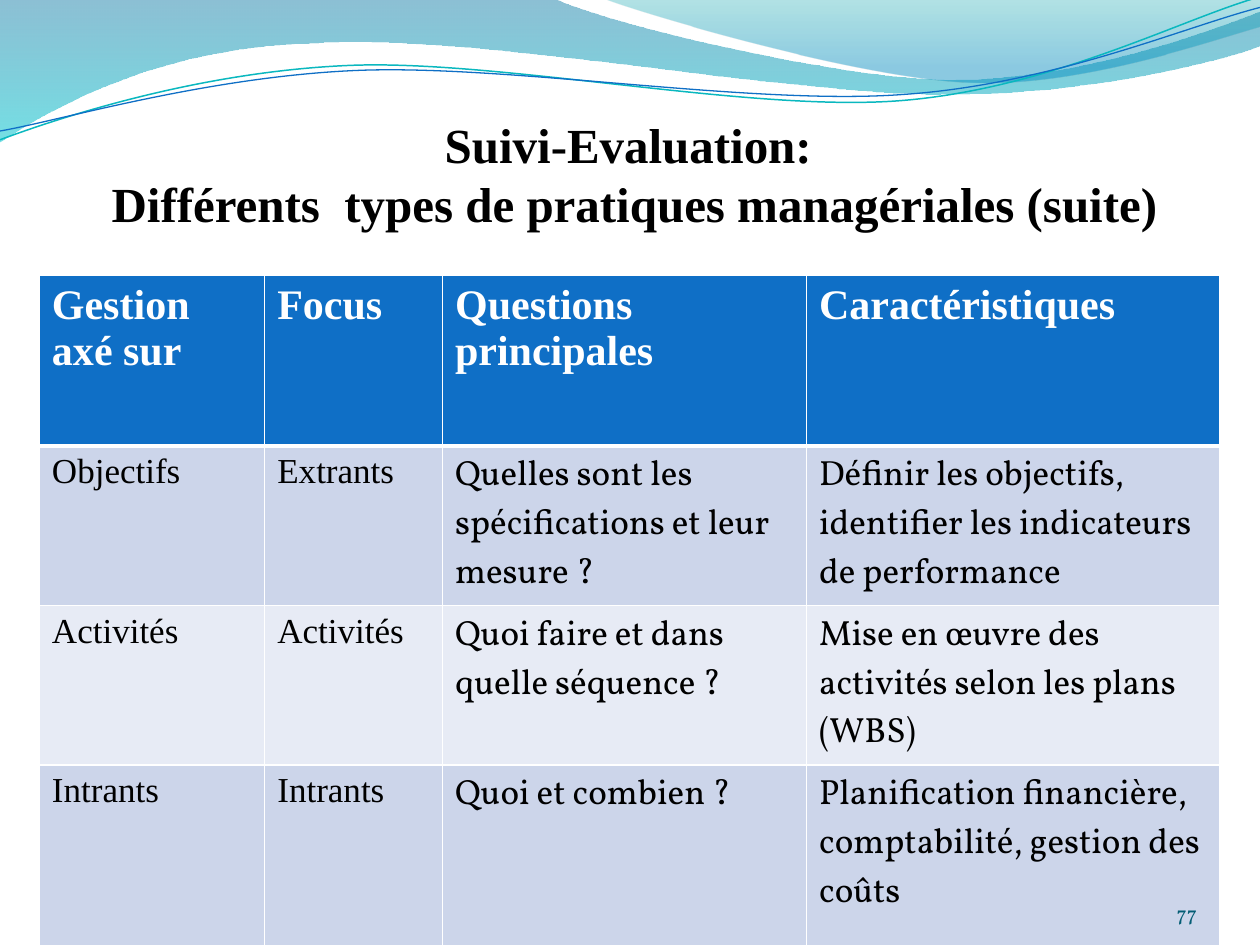
from collections import namedtuple
from math import cos, radians, sin

from lxml.etree import SubElement
from pptx import Presentation
from pptx.dml.color import RGBColor
from pptx.enum.text import MSO_ANCHOR, MSO_AUTO_SIZE, PP_ALIGN
from pptx.oxml.ns import qn
from pptx.util import Pt

Box = namedtuple("Box", "left top width height")

WHITE = RGBColor(0xFF, 0xFF, 0xFF)
BLACK = RGBColor(0x00, 0x00, 0x00)
BLUE = RGBColor(0x0F, 0x6F, 0xC6)
TEAL = RGBColor(0x0A, 0xB8, 0xBF)
PALE = RGBColor(0xCC, 0xD5, 0xEA)
PALER = RGBColor(0xE7, 0xEB, 0xF5)
NUMBER_INK = RGBColor(0x04, 0x5D, 0x75)
WAVE_TOP = RGBColor(0x00, 0x74, 0xA1)
WAVE_BOTTOM = RGBColor(0x00, 0xC6, 0xCF)
FAN_TOP = RGBColor(0x00, 0xA1, 0xA9)
FAN_BOTTOM = RGBColor(0x00, 0x8B, 0xBF)

SERIF = "Times New Roman"
BOOK = "Vollkorn"
CURVE_TILT = -2.7

WAVE = [(0, 0), (316.8, -0.7), (342.7, 12.2, 478.1, 45.4, 545.8, 45.4),
        (614.9, 45.4, 689.8, 18.7, 720, 6.5), (720.7, 25.9),
        (707.8, 31.7, 626.4, 54.7, 537.1, 54), (447.8, 54, 275, 20.2, 185, 24.5),
        (92.9, 25.9, 33.1, 59.8, -0.7, 81.4)]
FAN = [(344.9, -0.7), (366.5, 7.9, 491, 44.6, 553.7, 46.8),
       (616.3, 49.7, 691.9, 23, 720, 15.1), (720, 0)]
TEAL_CURVE = [(0, 79.9), (34.6, 67, 113.8, 41, 199.4, 37.4),
              (284.4, 33.8, 427, 64.1, 513.4, 57.6), (599.8, 51.1, 675.4, 10.8, 718.6, -1.4)]
BLUE_CURVE = [(0, 74.9), (33.8, 69.1, 118.1, 43.9, 203.8, 40.3),
              (290.2, 36.7, 429.8, 60.5, 516.2, 54), (601.9, 48.2, 677.5, 15.1, 720, 4.3)]

TITLE = ["Suivi-Evaluation: ", "Différents  types de pratiques managériales (suite)"]
COLUMN_WIDTHS = [128.8, 101.6, 208, 236.2]
ROW_HEIGHTS = [97.4, 81.4, 79.9, 111.6]
ROWS = [
    ["Gestion axé sur", "Focus", "Questions principales", "Caractéristiques"],
    ["Objectifs", "Extrants", "Quelles sont les spécifications et leur mesure ?",
     "Définir les objectifs, identifier les indicateurs de performance"],
    ["Activités", "Activités", "Quoi faire et dans quelle séquence ?",
     "Mise en œuvre des activités selon les plans (WBS)"],
    ["Intrants", "Intrants", "Quoi et combien ?",
     "Planification financière, comptabilité, gestion des coûts"],
]


def style_font(paragraph, name, size, color, bold=False):
    font = paragraph.font
    font.name, font.size, font.bold = name, Pt(size), bold
    font.color.rgb = color


def turn(x, y, degrees):
    angle = radians(degrees)
    return x * cos(angle) - y * sin(angle), x * sin(angle) + y * cos(angle)


def draw_outline(page, box, segments, closed, tilt=0):
    segments = [[turn(Pt(box.left + x), Pt(box.top + y), -tilt)
                 for x, y in zip(segment[::2], segment[1::2])] for segment in segments]
    ends = [segment[-1] for segment in segments]
    builder = page.shapes.build_freeform(*ends[0], scale=1.0)
    builder.add_line_segments(ends[1:], close=closed)
    shape = builder.convert_to_shape()
    steps = list(shape.element.spPr.iter(qn("a:lnTo")))
    for step, points in zip(steps, segments[1:]):
        if len(points) == 3:
            curve = step.makeelement(qn("a:cubicBezTo"))
            for x, y in points:
                SubElement(curve, qn("a:pt"), x=str(round(x - shape.left)),
                           y=str(round(y - shape.top)))
            step.getparent().replace(step, curve)
    center = turn(shape.left + shape.width / 2, shape.top + shape.height / 2, tilt)
    shape.left = round(center[0] - shape.width / 2)
    shape.top = round(center[1] - shape.height / 2)
    shape.rotation = tilt
    shape.shadow.inherit = False
    return shape


def add_veil(page, box, segments, stops):
    shape = draw_outline(page, box, segments, True)
    shape.line.fill.background()
    shape.fill.gradient()
    shape.fill.gradient_angle = 270
    for stop, (position, color, _) in zip(shape.fill.gradient_stops, stops):
        stop.position = position
        stop.color.rgb = color
    colors = shape.element.spPr.iter(qn("a:srgbClr"))
    for color, (_, _, opacity) in zip(colors, stops):
        SubElement(color, qn("a:alpha"), val=str(opacity * 1000))


def add_curve(page, box, segments, color, width):
    shape = draw_outline(page, box, segments, False, CURVE_TILT)
    shape.fill.background()
    shape.line.color.rgb = color
    shape.line.width = Pt(width)


def add_waves(page, box):
    add_veil(page, box, WAVE, [(0, WAVE_TOP, 45), (1, WAVE_BOTTOM, 55)])
    add_veil(page, box, FAN, [(0, FAN_TOP, 30), (0.8, FAN_BOTTOM, 45)])
    add_curve(page, box, TEAL_CURVE, TEAL, 0.85)
    add_curve(page, box, BLUE_CURVE, BLUE, 0.75)


def add_title(page, box):
    title = page.shapes.title
    title.left, title.top, title.width, title.height = map(Pt, box)
    frame = title.text_frame
    frame.text = "\n".join(TITLE)
    frame.auto_size = MSO_AUTO_SIZE.NONE
    frame.vertical_anchor = MSO_ANCHOR.TOP
    for paragraph in frame.paragraphs:
        paragraph.alignment = PP_ALIGN.CENTER
        style_font(paragraph, SERIF, 28, BLACK, True)


def add_borders(cell, widths):
    properties = cell._tc.get_or_add_tcPr()
    for index, (side, width) in enumerate(widths.items()):
        line = SubElement(properties, qn(f"a:{side}"), w=str(Pt(width)))
        fill = SubElement(line, qn("a:solidFill"))
        SubElement(fill, qn("a:srgbClr"), val=str(WHITE))
        properties.insert(index, line)


def add_practices(page, box):
    frame = page.shapes.add_table(len(ROWS), len(COLUMN_WIDTHS), *map(Pt, box))
    table = frame.table
    for column, width in zip(table.columns, COLUMN_WIDTHS):
        column.width = Pt(width)
    for r, (row, height) in enumerate(zip(table.rows, ROW_HEIGHTS)):
        row.height = Pt(height)
        header = r == 0
        for c, cell in enumerate(row.cells):
            cell.text = ROWS[r][c]
            cell.fill.solid()
            cell.fill.fore_color.rgb = BLUE if header else PALE if r % 2 else PALER
            add_borders(cell, {"lnL": 1, "lnR": 1, "lnT": 3 if r == 1 else 1,
                               "lnB": 3 if header else 1})
            paragraph = cell.text_frame.paragraphs[0]
            if header:
                style_font(paragraph, SERIF, 24, WHITE, True)
            else:
                style_font(paragraph, SERIF if c < 2 else BOOK, 20, BLACK)


def add_page_number(page, box):
    frame = page.shapes.add_textbox(*map(Pt, box)).text_frame
    frame.word_wrap = True
    frame.vertical_anchor = MSO_ANCHOR.BOTTOM
    frame.margin_left = frame.margin_right = frame.margin_top = frame.margin_bottom = 0
    paragraph = frame.paragraphs[0]
    paragraph.text = "77"
    paragraph.alignment = PP_ALIGN.RIGHT
    style_font(paragraph, BOOK, 12, NUMBER_INK)


def main():
    deck = Presentation()
    deck.slide_width, deck.slide_height = Pt(720), Pt(540)
    page = deck.slides.add_slide(deck.slide_layouts[5])
    add_waves(page, Box(0, 0, 720, 82))
    add_practices(page, Box(22.5, 157.5, sum(COLUMN_WIDTHS), sum(ROW_HEIGHTS)))
    add_title(page, Box(50.5, 62, 624, 75))
    add_page_number(page, Box(624, 500, 60, 29))
    deck.save("out.pptx")


if __name__ == "__main__":
    main()
